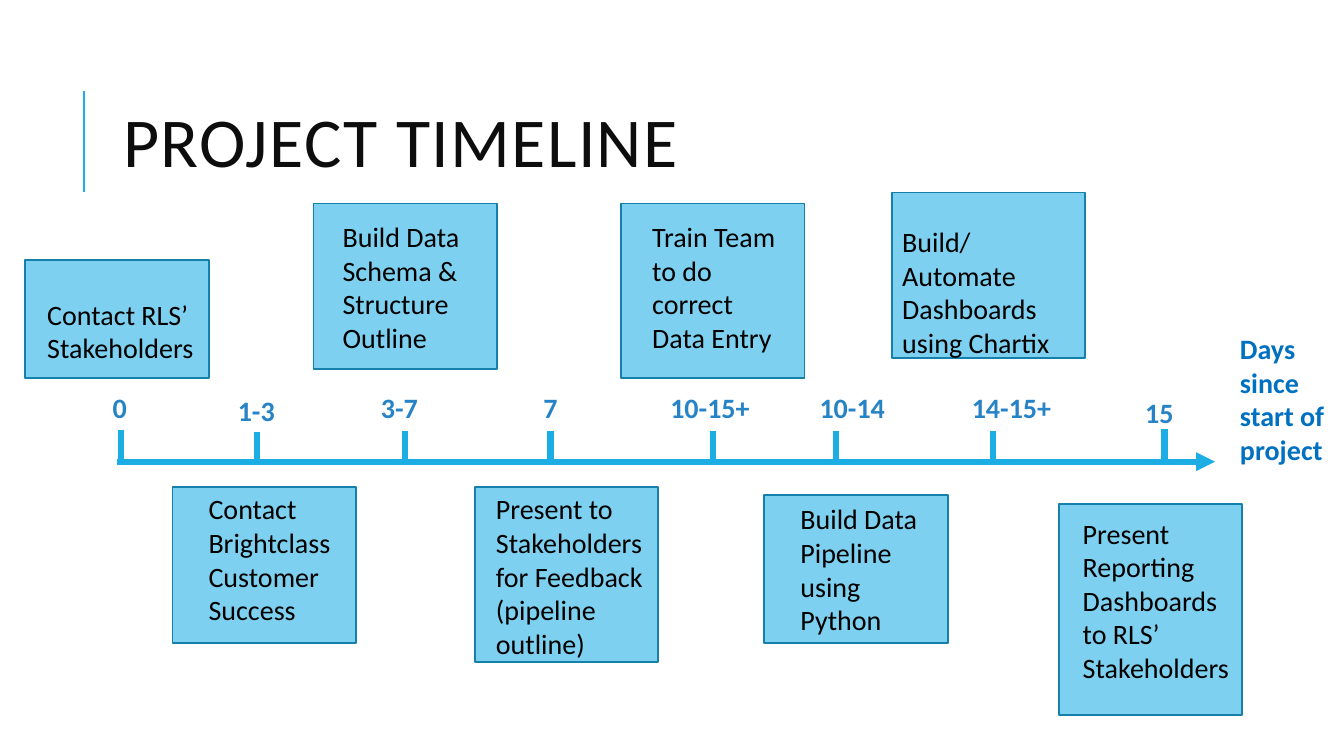
import pptx
import pptx.dml.color
import pptx.enum.shapes
import pptx.enum.text
import pptx.oxml.ns
import pptx.util
from lxml import etree

EMU_PER_PX = 9144  # 100 px to the inch


def px(length):
    return pptx.util.Emu(length * EMU_PER_PX)


def colour(hex_code):
    return pptx.dml.color.RGBColor.from_string(hex_code)


def add_tag(parent, tag, **attributes):
    return etree.SubElement(parent, pptx.oxml.ns.qn(tag), **attributes)


class TimelineSlide:
    FONT = "Calibri"
    ACCENT = "1CADE4"
    CARD_EDGE = "1580A9"
    TITLE_INK = "0D0D0D"
    NOTE_INK = "000000"
    DAY_INK = "2683C6"
    AXIS_INK = "0070C0"

    def __init__(self, presentation):
        self.slide = presentation.slides.add_slide(presentation.slide_layouts[5])

    def style(self, paragraph, size, ink, bold=False):
        paragraph.font.name = self.FONT
        paragraph.font.size = pptx.util.Pt(size)
        paragraph.font.bold = bold
        paragraph.font.color.rgb = colour(ink)

    def title(self, wording, left, top, width, height):
        heading = self.slide.shapes.title
        heading.left, heading.top = px(left), px(top)
        heading.width, heading.height = px(width), px(height)
        frame = heading.text_frame
        frame.text = wording
        frame.word_wrap = True
        frame.vertical_anchor = pptx.enum.text.MSO_ANCHOR.MIDDLE
        paragraph = frame.paragraphs[0]
        paragraph.alignment = pptx.enum.text.PP_ALIGN.LEFT
        paragraph.line_spacing = 0.8
        self.style(paragraph, 50, self.TITLE_INK)
        paragraph.runs[0].font._element.set("spc", "100")

    def text(self, wording, box, ink, bold=False):
        frame = self.slide.shapes.add_textbox(*map(px, box)).text_frame
        frame.word_wrap = True
        frame.text = wording
        self.style(frame.paragraphs[0], 20, ink, bold)

    def card(self, box):
        card = self.slide.shapes.add_shape(
            pptx.enum.shapes.MSO_SHAPE.RECTANGLE, *map(px, box))
        card.shadow.inherit = False
        card.fill.solid()
        card.fill.fore_color.rgb = colour(self.ACCENT)
        tint = card._element.spPr.find(
            ".//" + pptx.oxml.ns.qn("a:srgbClr"))
        add_tag(tint, "a:alpha", val="57000")
        card.line.color.rgb = colour(self.CARD_EDGE)
        card.line.width = pptx.util.Pt(1.25)

    def line(self, x1, y1, x2, y2, weight, arrow=False):
        line = self.slide.shapes.add_connector(
            pptx.enum.shapes.MSO_CONNECTOR.STRAIGHT, px(x1), px(y1), px(x2), px(y2))
        line.line.color.rgb = colour(self.ACCENT)
        line.line.width = pptx.util.Pt(weight)
        if arrow:
            add_tag(line.line._get_or_add_ln(), "a:tailEnd", type="triangle")
        add_tag(line._element.spPr, "a:effectLst")


AXIS_Y = 458
TICK_HEIGHT = 30
DAY_HEIGHT = 44

# days, (left, top, width) of the days, (x, foot) of the tick,
# card box, note, note box
MILESTONES = [
    ("0", (102, 383, 36), (120, 457), (25, 258, 182, 117),
     "Contact RLS’ Stakeholders", (37, 290, 207, 77)),
    ("1-3", (226, 385, 59), (255, 459), (171, 483, 182, 155),
     "Contact Brightclass Customer Success", (197, 483, 177, 145)),
    ("3-7", (368, 382, 69), (402, AXIS_Y), (311, 202, 182, 164),
     "Build Data Schema & Structure Outline", (330, 213, 140, 145)),
    ("7", (529, 383, 34), (546, AXIS_Y), (471, 483, 182, 174),
     "Present to Stakeholders for Feedback (pipeline outline)",
     (482, 483, 171, 178)),
    ("10-15+", (655, 383, 117), (707, AXIS_Y), (616, 202, 182, 173),
     "Train Team to do correct Data Entry", (637, 213, 153, 145)),
    ("10-14", (803, 382, 88), (829, AXIS_Y), (758, 491, 182, 147),
     "Build Data Pipeline using Python", (784, 493, 146, 145)),
    ("14-15+", (954, 383, 109), (985, AXIS_Y), (885, 191, 191, 164),
     "Build/Automate Dashboards using Chartix", (885, 218, 199, 111)),
    ("15", (1126, 387, 66), (1155, 456), (1050, 500, 182, 209),
     "Present Reporting Dashboards to RLS’ Stakeholders",
     (1064, 507, 165, 212)),
]


def main():
    presentation = pptx.Presentation()
    presentation.slide_width, presentation.slide_height = px(1333), px(750)
    timeline = TimelineSlide(presentation)

    timeline.title("PROJECT TIMELINE", 112, 64, 1063, 164)
    timeline.line(83, 190, 83, 90, 1.5)

    timeline.line(116, AXIS_Y, 1205, AXIS_Y, 4.5, arrow=True)
    timeline.text("Days since start of project", (1220, 324, 119, 145),
                  timeline.AXIS_INK, bold=True)

    for days, days_place, (tick_x, foot), card_box, note, note_box in MILESTONES:
        timeline.card(card_box)
        timeline.text(note, note_box, timeline.NOTE_INK)
        timeline.text(days, (*days_place, DAY_HEIGHT), timeline.DAY_INK, bold=True)
        timeline.line(tick_x, foot, tick_x, foot - TICK_HEIGHT, 4.5)

    presentation.save("out.pptx")


if __name__ == "__main__":
    main()
